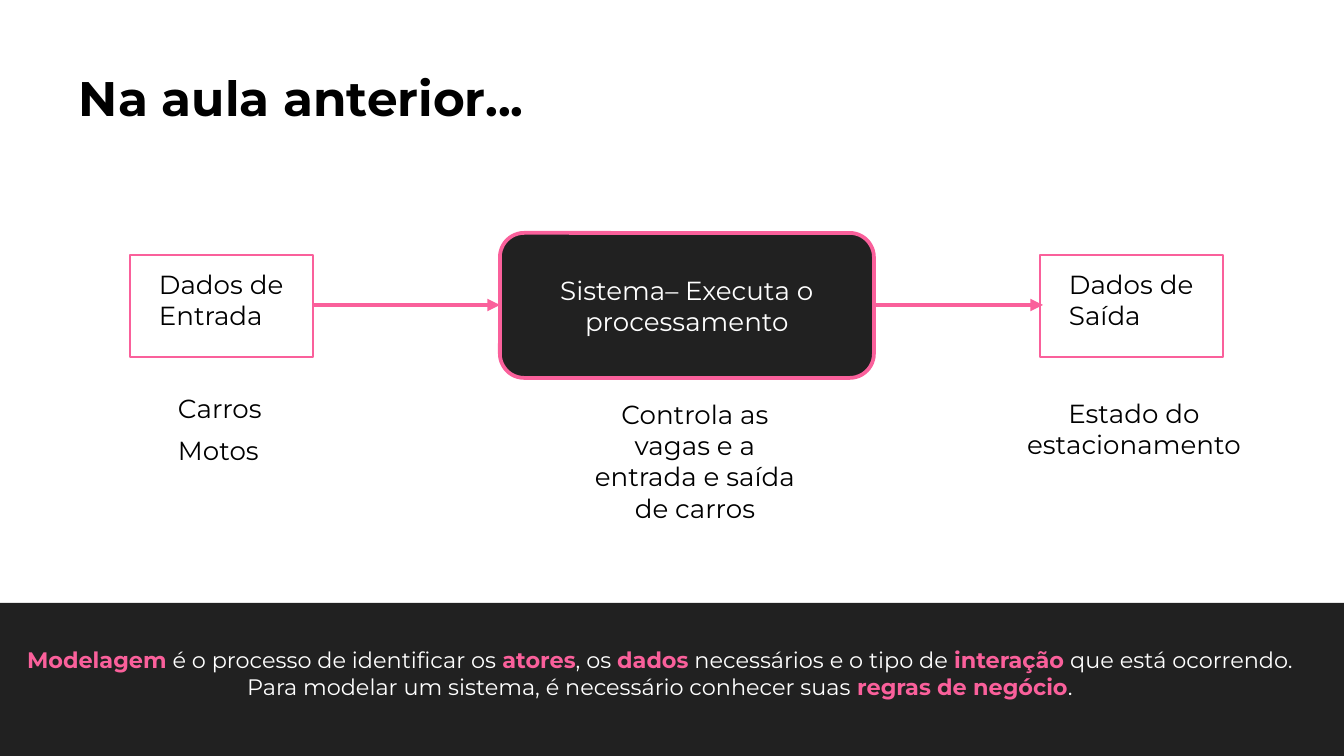
from dataclasses import dataclass

from lxml import etree
from pptx import Presentation
from pptx.dml.color import RGBColor
from pptx.enum.shapes import MSO_CONNECTOR as Connector, MSO_SHAPE as Shape
from pptx.enum.text import MSO_ANCHOR as Anchor, MSO_AUTO_SIZE as AutoSize, PP_ALIGN as Align
from pptx.oxml.ns import qn
from pptx.util import Emu, Pt

EMU_PER_PX = 914400 / 134.4


@dataclass(frozen=True)
class Theme:
    font: str = "Montserrat"
    black: RGBColor = RGBColor(0, 0, 0)
    white: RGBColor = RGBColor(0xFF, 0xFF, 0xFF)
    dark: RGBColor = RGBColor(0x21, 0x21, 0x21)
    pink: RGBColor = RGBColor(0xFA, 0x60, 0x9B)
    title: int = 26
    label: int = 14
    footer: int = 12


THEME = Theme()


def px(value):
    return Emu(round(value * EMU_PER_PX))


def apply(target, values):
    for name, value in values.items():
        setattr(target, name, value)


def write(shape, lines, size, color, align=Align.LEFT, bold=False,
          anchor=Anchor.TOP, inset=13, indent=16):
    """Write one paragraph per line; text between asterisks is highlighted."""
    frame = shape.text_frame
    apply(frame, dict(word_wrap=True, auto_size=AutoSize.NONE, vertical_anchor=anchor,
                      margin_left=px(13), margin_right=px(13),
                      margin_top=px(inset), margin_bottom=px(inset)))
    for index, line in enumerate(lines):
        paragraph = frame.add_paragraph() if index else frame.paragraphs[0]
        apply(paragraph, dict(alignment=align, space_before=Pt(6 if index else 0)))
        properties = paragraph._p.get_or_add_pPr()
        properties.set("marL", str(px(indent)))
        properties.set("indent", "0")
        for part, text in enumerate(line.split("*")):
            if not text:
                continue
            strong = part % 2 == 1
            run = paragraph.add_run()
            run.text = text
            apply(run.font, dict(name=THEME.font, size=Pt(size), bold=bold or strong))
            run.font.color.rgb = THEME.pink if strong else color


def add_title(slide, box, text):
    title = slide.shapes.title
    apply(title, dict(zip(("left", "top", "width", "height"), map(px, box))))
    write(title, [text], THEME.title, THEME.black, bold=True, indent=0)


def add_box(slide, kind, box, fill=None, line_width=0):
    shape = slide.shapes.add_shape(kind, *map(px, box))
    shape.shadow.inherit = False
    if fill is None:
        shape.fill.background()
    else:
        shape.fill.solid()
        shape.fill.fore_color.rgb = fill
    if line_width:
        shape.line.color.rgb = THEME.pink
        shape.line.width = Pt(line_width)
    else:
        shape.line.fill.background()
    return shape


def add_text(slide, box, lines, size=THEME.label, color=THEME.black, **layout):
    write(slide.shapes.add_textbox(*map(px, box)), lines, size, color, **layout)


def add_arrow(slide, start, end, y):
    arrow = slide.shapes.add_connector(Connector.STRAIGHT, px(start), px(y), px(end), px(y))
    arrow.line.color.rgb = THEME.pink
    arrow.line.width = Pt(2.25)
    etree.SubElement(arrow.line._get_or_add_ln(), qn("a:tailEnd"), type="triangle")
    etree.SubElement(arrow._element.spPr, qn("a:effectLst"))


def main():
    presentation = Presentation()
    apply(presentation, dict(slide_width=px(1344), slide_height=px(756)))
    slide = presentation.slides.add_slide(presentation.slide_layouts[5])

    add_title(slide, (66, 55, 1052, 86), "Na aula anterior...")

    # Footer band with the definition
    add_box(slide, Shape.RECTANGLE, (0, 603, 1344, 153), THEME.dark)
    add_text(slide, (-20, 633, 1344, 93), [
        "*Modelagem* é o processo de identificar os *atores*, os *dados* necessários "
        "e o tipo de *interação* que está ocorrendo. Para modelar um sistema, "
        "é necessário conhecer suas *regras de negócio*."],
        THEME.footer, THEME.white, align=Align.CENTER)

    # System in the middle
    system = add_box(slide, Shape.ROUNDED_RECTANGLE, (500, 233, 374, 145), THEME.dark, 2)
    write(system, ["Sistema– Executa o processamento"], THEME.label, THEME.white,
          align=Align.CENTER, anchor=Anchor.MIDDLE, inset=7, indent=0)

    # Flow from input to output
    for start, end in ((313, 500), (874, 1043)):
        add_arrow(slide, start, end, 305)
    for left, text in ((130, "Dados de Entrada"), (1040, "Dados de Saída")):
        box = add_box(slide, Shape.RECTANGLE, (left, 255, 183, 102), line_width=0.75)
        write(box, [text], THEME.label, THEME.black)

    # Example under each step
    add_text(slide, (149, 385, 145, 89), ["Carros", "Motos"], inset=7)
    for left, top, height, text in (
            (993, 390, 77, "Estado do estacionamento"),
            (554, 391, 140, "Controla as vagas e a entrada e saída de carros")):
        add_text(slide, (left, top, 266, height), [text], align=Align.CENTER, inset=7)

    presentation.save("out.pptx")


if __name__ == "__main__":
    main()
